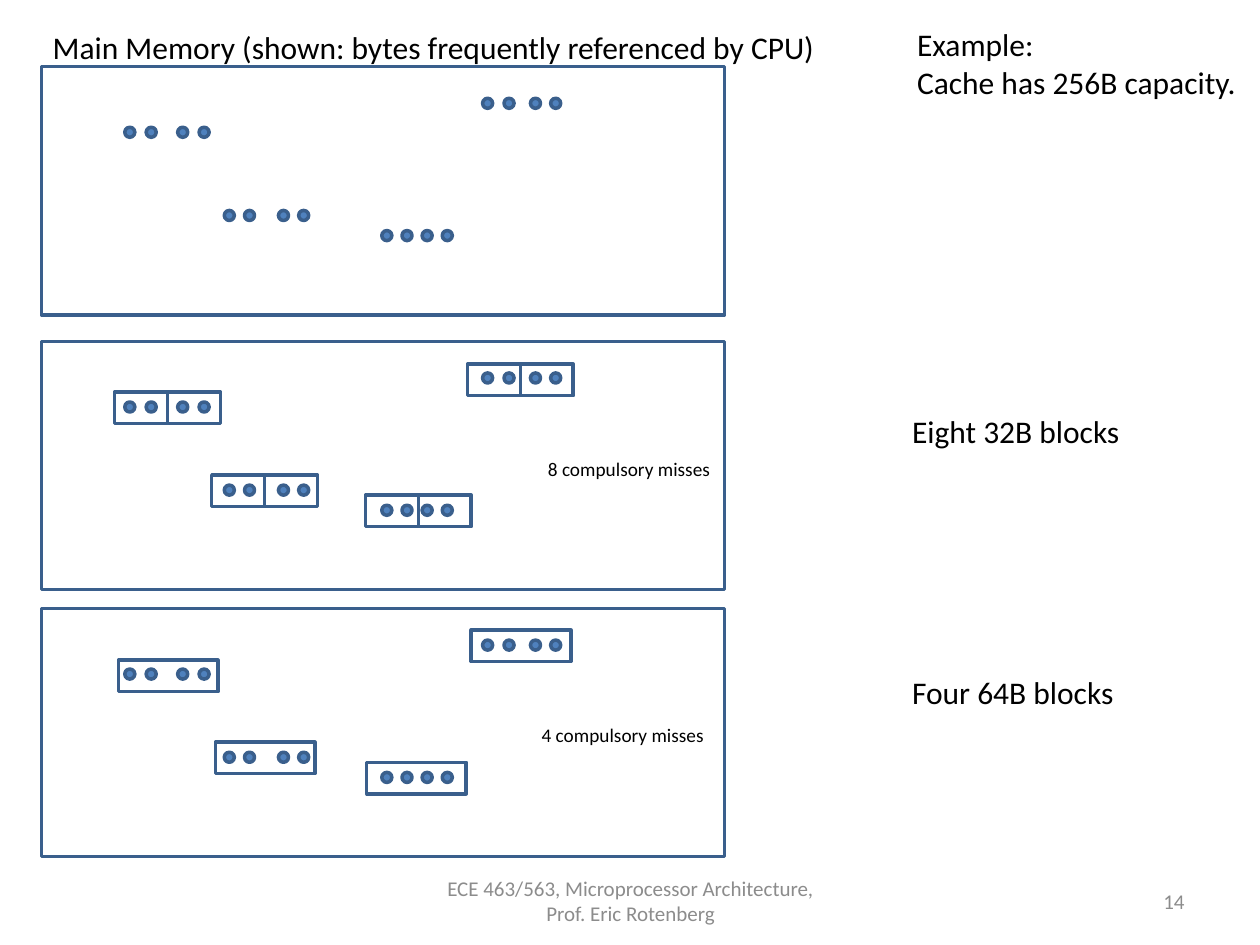
from pptx import Presentation
from pptx.dml.color import RGBColor
from pptx.enum.shapes import MSO_SHAPE
from pptx.enum.text import MSO_ANCHOR, MSO_AUTO_SIZE, PP_ALIGN
from pptx.util import Inches, Pt

BLUE = RGBColor(0x4F, 0x81, 0xBD)
NAVY = RGBColor(0x3A, 0x5F, 0x8C)
GREY = RGBColor(0x8C, 0x8C, 0x8C)
BLACK = RGBColor(0, 0, 0)


def draw(shapes, kind, x, y, w, h, fill=None):
    shape = shapes.add_shape(kind, Inches(x), Inches(y), Inches(w), Inches(h))
    shape.shadow.inherit = False
    if fill is None:
        shape.fill.background()
    else:
        shape.fill.solid()
        shape.fill.fore_color.rgb = fill
    shape.line.color.rgb = NAVY
    shape.line.width = Pt(2)


def write(text, x, y, w, h, size, color=BLACK, align=PP_ALIGN.LEFT, **form):
    box = slide.shapes.add_textbox(Inches(x), Inches(y), Inches(w), Inches(h))
    frame = box.text_frame
    base = {"word_wrap": False, "auto_size": MSO_AUTO_SIZE.SHAPE_TO_FIT_TEXT}
    for name, value in {**base, **form}.items():
        setattr(frame, name, value)
    frame.text = text
    for para in frame.paragraphs:
        para.alignment = align
        for name, value in {"name": "Calibri", "size": Pt(size)}.items():
            setattr(para.font, name, value)
        para.font.color.rgb = color


deck = Presentation()
deck.slide_width = Inches(10)
deck.slide_height = Inches(7.5)
slide = deck.slides.add_slide(deck.slide_layouts[6])

foot = {
    "color": GREY,
    "word_wrap": True,
    "auto_size": MSO_AUTO_SIZE.NONE,
    "vertical_anchor": MSO_ANCHOR.MIDDLE,
}
write("ECE 463/563, Microprocessor Architecture, Prof. Eric Rotenberg",
      3.42, 6.95, 3.17, 0.4, 12, align=PP_ALIGN.CENTER, **foot)
write("14", 7.17, 6.95, 2.33, 0.4, 12, align=PP_ALIGN.RIGHT, **foot)

dots = [
    (0.48, (0.99, 1.16, 1.41, 1.58)),
    (1.14, (1.78, 1.94, 2.21, 2.37)),
    (0.25, (3.83, 4.0, 4.21, 4.37)),
    (1.3, (3.03, 3.19, 3.35, 3.51)),
]
for top in (0.53, 2.71, 4.83):
    group = slide.shapes.add_group_shape()
    for down, row in dots:
        for x in row:
            draw(group.shapes, MSO_SHAPE.OVAL, x, top + down, 0.08, 0.08, BLUE)
    draw(group.shapes, MSO_SHAPE.RECTANGLE, 0.33, top, 5.42, 1.97)

blocks = [
    (2, 0.42, [(0.91, 3.11), (1.68, 3.77), (3.71, 2.89), (2.9, 3.93)]),
    (1, 0.79, [(0.94, 5.24), (1.71, 5.89), (3.74, 5), (2.91, 6.05)]),
]
for count, wide, spots in blocks:
    for x, y in spots:
        for i in range(count):
            draw(slide.shapes, MSO_SHAPE.RECTANGLE, x + i * wide, y, wide, 0.25)

labels = [
    ("Main Memory (shown: bytes frequently referenced by CPU)",
     0.32, 0.17, 6.26, 0.4, 18),
    ("Example:\nCache has 256B capacity.", 7.18, 0.15, 2.76, 0.71, 18),
    ("Eight 32B blocks", 7.14, 3.22, 1.87, 0.4, 18),
    ("Four 64B blocks", 7.14, 5.29, 1.82, 0.4, 18),
    ("8 compulsory misses", 4.25, 3.58, 1.49, 0.29, 11),
    ("4 compulsory misses", 4.2, 5.69, 1.49, 0.29, 11),
]
for label in labels:
    write(*label)

deck.save("out.pptx")
